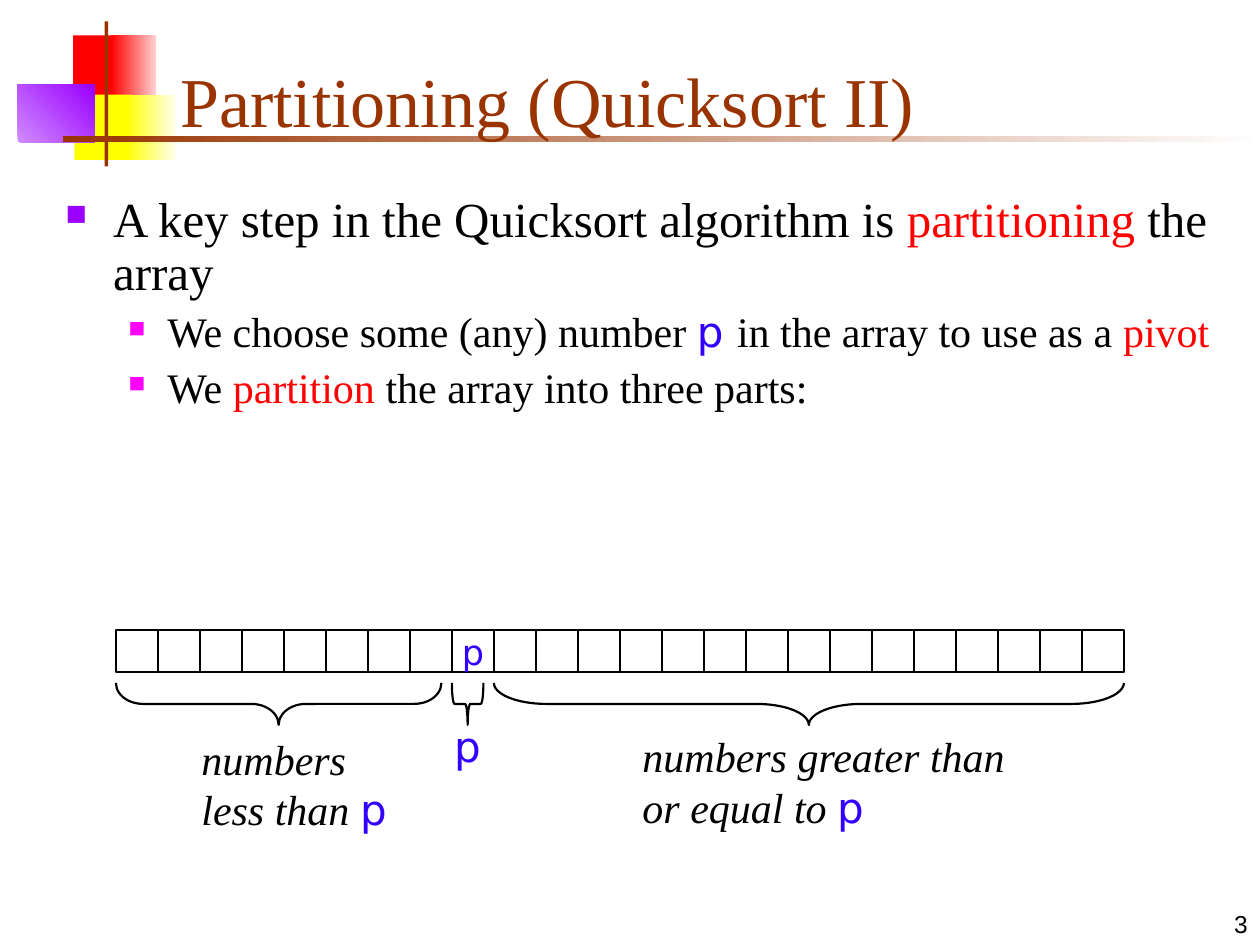
from dataclasses import dataclass
from typing import NamedTuple

from lxml.etree import SubElement
from pptx import Presentation
from pptx.dml.color import RGBColor
from pptx.enum.shapes import MSO_SHAPE as Shape
from pptx.enum.text import MSO_ANCHOR as Anchor, MSO_AUTO_SIZE as AutoSize, PP_ALIGN as Align
from pptx.oxml.ns import qn
from pptx.util import Inches, Pt


@dataclass(frozen=True)
class Theme:
    serif: str = "Times New Roman"
    code: str = "DejaVu Sans"
    sans: str = "Arial"
    black: str = "000000"
    brown: str = "993300"
    red: str = "FF0000"
    yellow: str = "FFFF00"
    purple: str = "9900FF"
    magenta: str = "FF00FF"
    blue: str = "3300FF"
    title: int = 40
    body: int = 28
    label: int = 24
    cell: int = 20
    number: int = 14
    line: float = 1.25


T = Theme()


class Block(NamedTuple):
    left: float
    top: float
    width: float
    height: float
    start: str
    end: str = ""
    angle: float = 0


class Run(NamedTuple):
    text: str
    color: str = T.black
    font: str = T.serif
    italic: bool = False


class Bullet(NamedTuple):
    level: int
    runs: list[Run]


class BulletStyle(NamedTuple):
    indent: float
    hang: float
    before: int
    color: str
    percent: int
    size: int


class Part(NamedTuple):
    first: float
    length: float
    box: tuple[float, float, float, float]
    runs: list[Run]
    align: Align = Align.LEFT


def rgb(value: str) -> RGBColor:
    return RGBColor.from_string(value)


def add_runs(p, runs: list[Run], size: int) -> None:
    for run in runs:
        r = p.add_run()
        r.text = run.text
        r.font.size, r.font.name, r.font.italic = Pt(size), run.font, run.italic
        r.font.color.rgb = rgb(run.color)


def add_text(shapes, box, runs: list[Run], size: int, align=Align.LEFT, anchor=Anchor.TOP):
    tf = shapes.add_textbox(*map(Inches, box)).text_frame
    tf.word_wrap, tf.vertical_anchor = True, anchor
    tf.paragraphs[0].alignment = align
    add_runs(tf.paragraphs[0], runs, size)
    return tf


def add_block(shapes, b: Block) -> None:
    sp = shapes.add_shape(Shape.RECTANGLE, *map(Inches, b[:4]))
    sp.shadow.inherit = False
    sp.line.fill.background()
    if not b.end:
        sp.fill.solid()
        sp.fill.fore_color.rgb = rgb(b.start)
        return
    sp.fill.gradient()
    sp.fill.gradient_angle = b.angle
    for stop, color in zip(sp.fill.gradient_stops, (b.start, b.end)):
        stop.color.rgb = rgb(color)


def add_outline(shapes, kind: Shape, left: float, top: float, width: float, height: float):
    sp = shapes.add_shape(kind, *map(Inches, (left, top, width, height)))
    sp.shadow.inherit = False
    sp.fill.background()
    sp.line.color.rgb, sp.line.width = rgb(T.black), Pt(T.line)
    return sp


def add_brace(shapes, left: float, top: float, length: float, depth: float) -> None:
    # The brace is upright before it is turned to point down
    sp = add_outline(shapes, Shape.LEFT_BRACE, left + (length - depth) / 2,
                     top + (depth - length) / 2, depth, length)
    sp.rotation = 270
    sp.adjustments[0] = length / 12 / min(length, depth)


def format_bullet(p, style: BulletStyle) -> None:
    p.line_spacing, p.space_before = 0.9, Pt(style.before)
    pPr = p._p.get_or_add_pPr()
    pPr.set("marL", str(Inches(style.indent)))
    pPr.set("indent", str(-Inches(style.hang)))
    SubElement(SubElement(pPr, qn("a:buClr")), qn("a:srgbClr")).set("val", style.color)
    SubElement(pPr, qn("a:buSzPct")).set("val", str(style.percent * 1000))
    SubElement(pPr, qn("a:buChar")).set("char", "■")


prs = Presentation()
prs.slide_width, prs.slide_height = Inches(10), Inches(7.5)
s = prs.slides.add_slide(prs.slide_layouts[5])

# Corner decoration and title rule
BLOCKS = [
    Block(0.58, 0.28, 0.35, 0.52, T.red),
    Block(0.88, 0.28, 0.36, 0.52, T.red, "FFD1D1"),
    Block(0.59, 0.75, 0.46, 0.52, T.yellow),
    Block(1, 0.75, 0.4, 0.52, T.yellow, "FFFFF0"),
    Block(0.14, 0.67, 0.61, 0.46, "D18BFF", T.purple, 45),
    Block(0.83, 0.17, 0.03, 1.15, T.brown),
    Block(0.5, 1.08, 9.5, 0.05, T.brown, "FFFFFF"),
]
for block in BLOCKS:
    add_block(s.shapes, block)

# Slide number
add_text(s.shapes, (7.92, 7, 2.08, 0.5), [Run("3", font=T.sans)], T.number,
         Align.RIGHT, Anchor.BOTTOM)

# Title, in front of the rule
title = s.shapes.title
title.left, title.top, title.width, title.height = map(Inches, (1.33, 0.25, 8.52, 0.92))
tf = title.text_frame
tf.auto_size, tf.vertical_anchor = AutoSize.NONE, Anchor.BOTTOM
tf.paragraphs[0].alignment = Align.LEFT
add_runs(tf.paragraphs[0], [Run("Partitioning (Quicksort II)", T.brown)], T.title)
title.element.getparent().append(title.element)

# Bullets
PIVOT = Run("p", T.blue, T.code)
STYLES = [
    BulletStyle(0.38, 0.38, 7, T.purple, 60, T.body),
    BulletStyle(0.81, 0.31, 6, T.magenta, 55, T.label),
]
BULLETS = [
    Bullet(0, [Run("A key step in the Quicksort algorithm is "), Run("partitioning", T.red),
               Run(" the array")]),
    Bullet(1, [Run("We choose some (any) number "), PIVOT._replace(text="p "),
               Run("in the array to use as a "), Run("pivot", T.red)]),
    Bullet(1, [Run("We "), Run("partition", T.red), Run(" the array into three parts:")]),
]
tf = add_text(s.shapes, (0.42, 1.5, 9.38, 2.86), [], T.body)
for i, bullet in enumerate(BULLETS):
    p = tf.add_paragraph() if i else tf.paragraphs[0]
    p.level = bullet.level
    format_bullet(p, STYLES[bullet.level])
    add_runs(p, bullet.runs, STYLES[bullet.level].size)

# Array cells
CELL, CELLS, PIVOT_INDEX = 1 / 3, 24, 8
ARRAY_LEFT, ARRAY_TOP = 0.92, 5
array = s.shapes.add_group_shape().shapes
for i in range(CELLS):
    cell = add_outline(array, Shape.RECTANGLE, ARRAY_LEFT + i * CELL, ARRAY_TOP, CELL, CELL)
    if i == PIVOT_INDEX:
        tf = cell.text_frame
        tf.word_wrap, tf.vertical_anchor = False, Anchor.MIDDLE
        tf.paragraphs[0].alignment = Align.CENTER
        add_runs(tf.paragraphs[0], [PIVOT], T.cell)

# Braces with labels; first and length count cells
PARTS = [
    Part(0, 7.75, (1.5, 5.77, 1.92, 0.9), [Run("numbers less than ", italic=True), PIVOT]),
    Part(9, 15, (5, 5.75, 3.08, 0.9),
         [Run("numbers greater than or equal to ", italic=True), PIVOT]),
    Part(8, 0.75, (3.42, 5.67, 0.58, 0.5), [PIVOT], Align.CENTER),
]
for part in PARTS:
    group = s.shapes.add_group_shape().shapes
    add_brace(group, ARRAY_LEFT + part.first * CELL, 5.42, part.length * CELL, CELL)
    add_text(group, part.box, part.runs, T.label, part.align)

prs.save("out.pptx")
